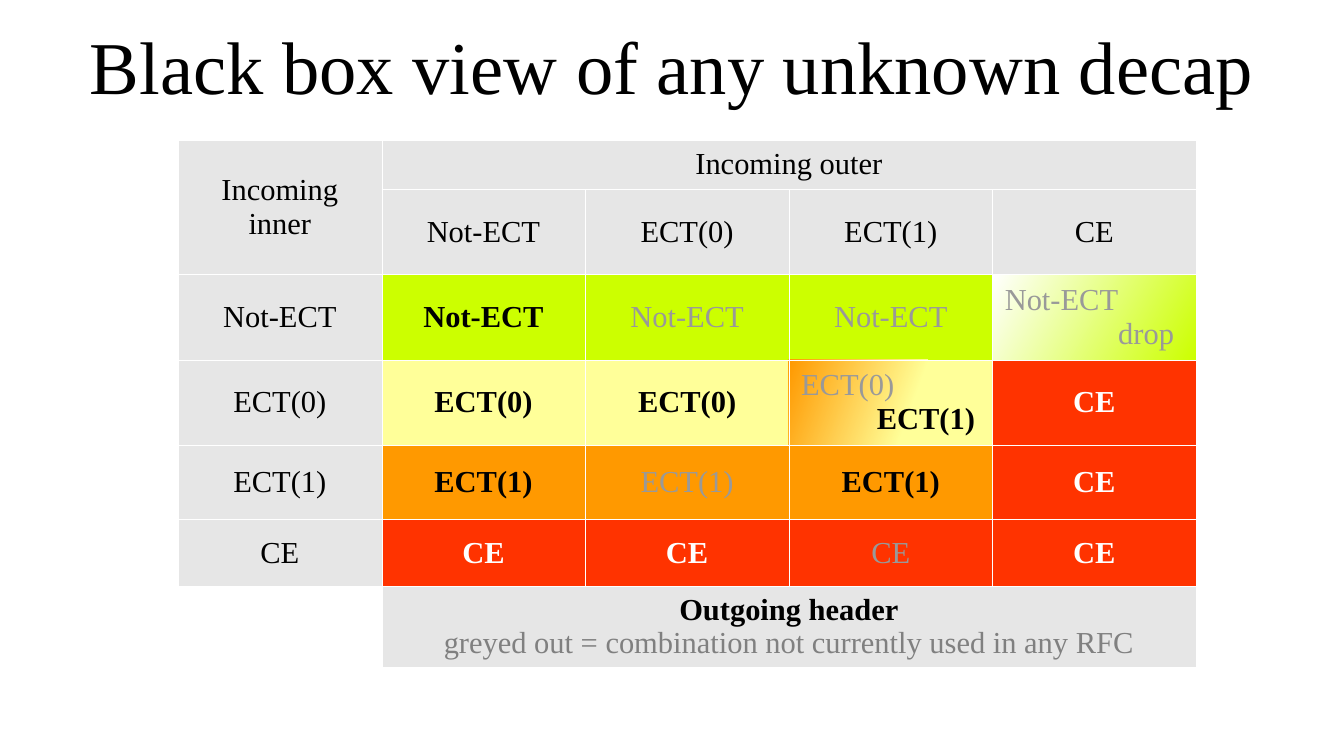
from dataclasses import dataclass

from lxml.etree import SubElement
from pptx import Presentation
from pptx.dml.color import RGBColor as Rgb
from pptx.enum.text import MSO_ANCHOR as Anchor, PP_ALIGN as Align
from pptx.oxml import parse_xml
from pptx.oxml.ns import nsdecls, qn
from pptx.util import Inches, Pt


@dataclass(frozen=True)
class Theme:
    font: str = "Times New Roman"
    title_size: int = 44
    body_size: int = 18
    ink: str = "000000"
    paper: str = "FFFFFF"
    faded: str = "999999"
    note: str = "808080"
    header: str = "E6E6E6"
    lime: str = "CCFF00"
    yellow: str = "FFFF99"
    orange: str = "FF9900"
    red: str = "FF3300"
    border: float = 0.06


THEME = Theme()
LABEL = (THEME.ink, False)
USED = (THEME.ink, True)
UNUSED = (THEME.faded, False)
MARKED = (THEME.paper, True)
NOTE = (THEME.note, False)

CODEPOINTS = ["Not-ECT", "ECT(0)", "ECT(1)", "CE"]
COLUMN_WIDTHS = [1.67] * 5
ROW_HEIGHTS = [0.4, 0.7, 0.7, 0.7, 0.61, 0.55, 0.66]
ROW_FILLS = [THEME.lime, THEME.yellow, THEME.orange, THEME.red]
OUTCOME_STYLES = [
    [USED, UNUSED, UNUSED, None],
    [USED, USED, None, MARKED],
    [USED, UNUSED, USED, MARKED],
    [MARKED, MARKED, UNUSED, MARKED],
]


def apply_format(target, values):
    for name, value in values.items():
        setattr(target, name, value)


def write_line(para, text, style, size=THEME.body_size, align=Align.CENTER, indent=0):
    color, bold = style
    para.alignment = align
    if indent:
        para._p.get_or_add_pPr().set("marL", str(Inches(indent)))
    span = para.add_run()
    span.text = text
    apply_format(span.font, {"name": THEME.font, "size": Pt(size), "bold": bold})
    span.font.color.rgb = Rgb.from_string(color)


def write_cell(cell, *lines, **layout):
    frame = cell.text_frame
    for index, (text, style) in enumerate(lines):
        para = frame.add_paragraph() if index else frame.paragraphs[0]
        write_line(para, text, style, **layout)


def fill_cell(cell, color):
    cell.fill.solid()
    cell.fill.fore_color.rgb = Rgb.from_string(color)


def blend_cell(cell, start, end, offset, angle):
    cell.fill.gradient()
    cell.fill.gradient_angle = angle
    for stop, color, position in zip(cell.fill.gradient_stops, (start, end), (offset, 1)):
        stop.color.rgb = Rgb.from_string(color)
        stop.position = position


def border_cell(cell):
    props = cell._tc.get_or_add_tcPr()
    for index, side in enumerate(("lnL", "lnR", "lnT", "lnB")):
        line = parse_xml(f'<a:{side} {nsdecls("a")} w="{Pt(THEME.border)}"/>')
        solid = SubElement(line, qn("a:solidFill"))
        SubElement(solid, qn("a:srgbClr"), val=THEME.paper)
        props.insert(index, line)


def write_split_cell(cell, upper, lower, indent):
    write_cell(cell, upper, align=Align.LEFT)
    text, style = lower
    write_line(cell.text_frame.add_paragraph(), text, style, align=Align.LEFT, indent=indent)


def add_title(page, text, box):
    title = page.shapes.title
    apply_format(title, dict(zip(("left", "top", "width", "height"), box)))
    frame = title.text_frame
    apply_format(frame, {"vertical_anchor": Anchor.MIDDLE, "word_wrap": True})
    apply_format(frame, dict.fromkeys(
        ("margin_left", "margin_top", "margin_right", "margin_bottom"), 0))
    write_line(frame.paragraphs[0], text, LABEL, size=THEME.title_size)


def add_headers(table):
    for start, end in (((0, 0), (1, 0)), ((0, 1), (0, 4)), ((6, 1), (6, 4))):
        table.cell(*start).merge(table.cell(*end))
    write_cell(table.cell(0, 0), ("Incoming inner", LABEL))
    write_cell(table.cell(0, 1), ("Incoming outer", LABEL))
    for index, name in enumerate(CODEPOINTS):
        write_cell(table.cell(1, index + 1), (name, LABEL))
        write_cell(table.cell(index + 2, 0), (name, LABEL))
    write_cell(
        table.cell(6, 1),
        ("Outgoing header", USED),
        ("greyed out = combination not currently used in any RFC", NOTE),
    )
    fill_cell(table.cell(6, 0), THEME.paper)


def add_outcomes(table):
    for inner, styles in enumerate(OUTCOME_STYLES):
        for outer, style in enumerate(styles):
            if style is None:
                continue
            marked = CODEPOINTS[outer] == "CE"
            source = outer if marked else inner
            cell = table.cell(inner + 2, outer + 1)
            write_cell(cell, (CODEPOINTS[source], style))
            fill_cell(cell, ROW_FILLS[source])
    dropped = table.cell(2, 4)
    write_split_cell(dropped, ("Not-ECT", UNUSED), ("drop", UNUSED), 0.93)
    blend_cell(dropped, THEME.lime, THEME.paper, 0, 150)
    remarked = table.cell(3, 3)
    write_split_cell(remarked, ("ECT(0)", UNUSED), ("ECT(1)", USED), 0.62)
    blend_cell(remarked, THEME.yellow, THEME.orange, 0.4, 160)


def add_decap_table(page, box):
    table = page.shapes.add_table(len(ROW_HEIGHTS), len(COLUMN_WIDTHS), *box).table
    apply_format(table, {"first_row": False, "horz_banding": False})
    for column, width in zip(table.columns, COLUMN_WIDTHS):
        column.width = Inches(width)
    for row, height in zip(table.rows, ROW_HEIGHTS):
        row.height = Inches(height)
    for cell in table.iter_cells():
        cell.vertical_anchor = Anchor.MIDDLE
        fill_cell(cell, THEME.header)
    add_headers(table)
    add_outcomes(table)
    for cell in table.iter_cells():
        border_cell(cell)


def main():
    deck = Presentation()
    apply_format(deck, {"slide_width": Inches(11.02), "slide_height": Inches(6.2)})
    page = deck.slides.add_slide(deck.slide_layouts[5])
    add_title(page, "Black box view of any unknown decap",
              [Inches(value) for value in (0.55, 0.01, 9.92, 1.04)])
    add_decap_table(page, [Inches(value) for value in
                           (1.46, 1.15, sum(COLUMN_WIDTHS), sum(ROW_HEIGHTS))])
    deck.save("out.pptx")


if __name__ == "__main__":
    main()
